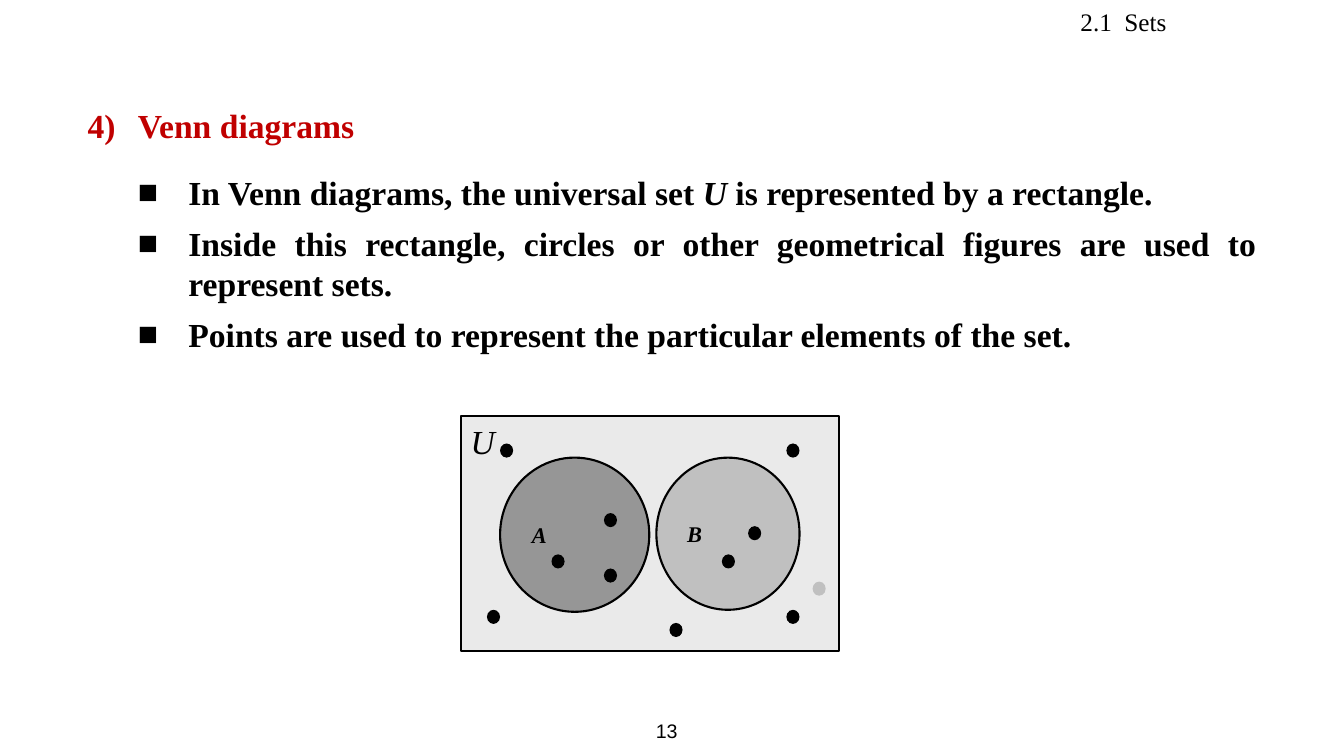
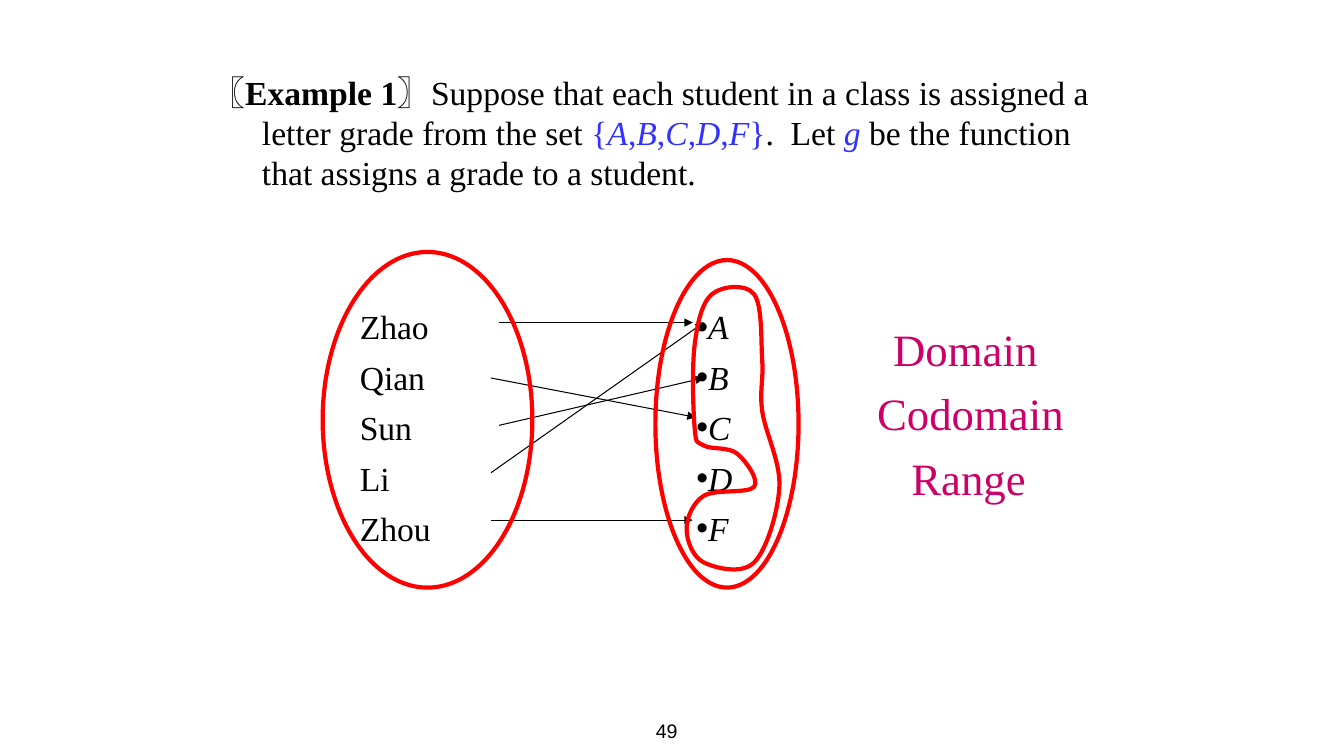
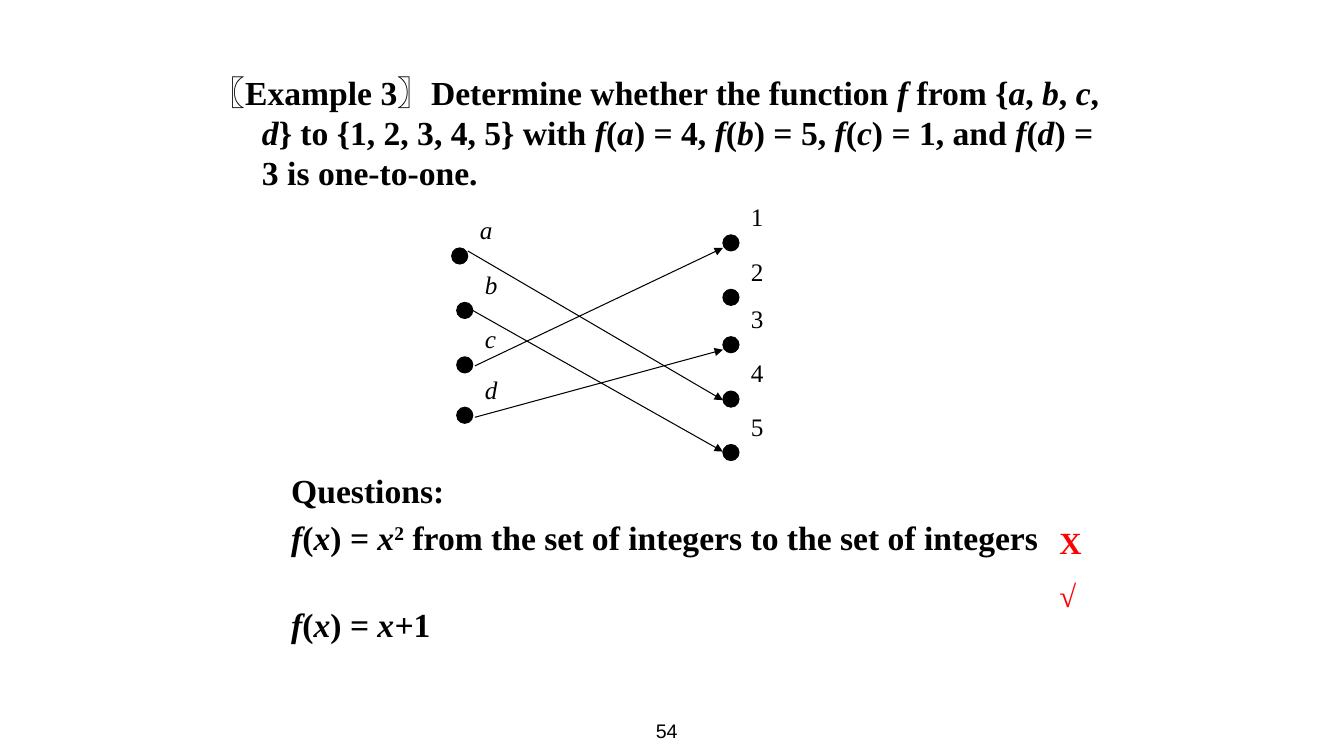
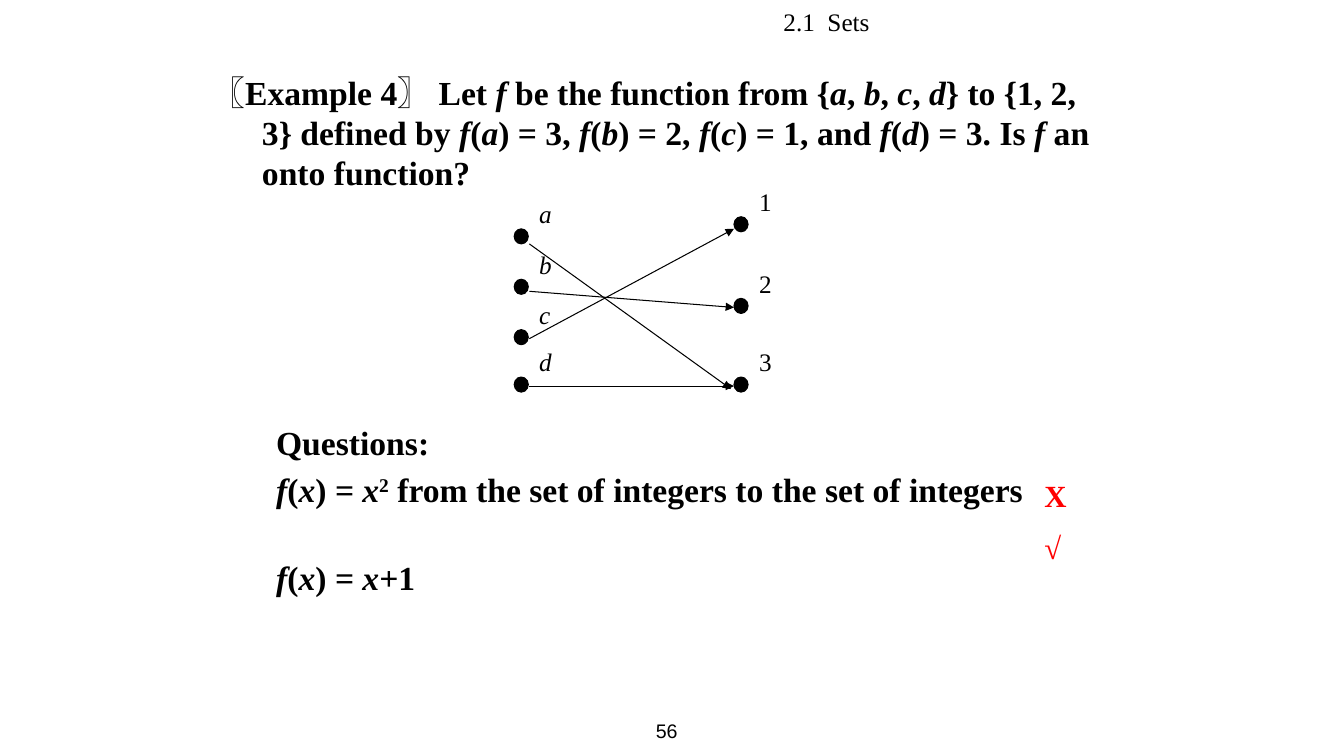
from dataclasses import dataclass, replace
from typing import Any, NamedTuple, Optional

from lxml import etree
from pptx import Presentation
from pptx.dml.color import RGBColor
from pptx.enum import shapes, text
from pptx.oxml import ns
from pptx.util import Inches, Pt


@dataclass(frozen=True)
class Theme:
    serif: str = "Times New Roman"
    sans: str = "Arial"
    black: str = "000000"
    heading: str = "C00000"
    red: str = "FF0000"
    blue: str = "3333FF"
    magenta: str = "CC0066"
    universe: str = "EAEAEA"
    dark_set: str = "969696"
    light_set: str = "C0C0C0"
    term: int = 32
    body: int = 24
    verdict: int = 22
    label: int = 18
    set_name: int = 16
    page_number: int = 14
    thin: float = 0.75
    outline: float = 1.5
    thick: float = 3


THEME = Theme()
OVAL = shapes.MSO_SHAPE.OVAL
RIGHT = text.PP_ALIGN.RIGHT
LEFT = text.PP_ALIGN.LEFT
JUSTIFY = text.PP_ALIGN.JUSTIFY
MIDDLE = text.MSO_ANCHOR.MIDDLE
TOP = text.MSO_ANCHOR.TOP


class Area(NamedTuple):
    left: float
    top: float
    width: float
    height: float

    def lengths(self) -> list[int]:
        return [Inches(value) for value in self]


class Point(NamedTuple):
    x: float
    y: float


class Arrow(NamedTuple):
    start: Point
    end: Point


@dataclass(frozen=True)
class Span:
    text: str
    size: float = THEME.body
    color: str = THEME.black
    bold: bool = False
    italic: bool = False
    font: str = THEME.serif
    raised: bool = False


@dataclass(frozen=True)
class Para:
    spans: list[Span]
    align: Any = LEFT
    before: float = 0
    line: Optional[float] = None
    margin: float = 0
    indent: float = 0
    bullet: str = ""
    bullet_font: str = THEME.serif
    number: int = 0


@dataclass(frozen=True)
class Mapping:
    dot: tuple[float, float]
    label_shift: Point
    label_width: float
    sources: dict[str, Point]
    targets: dict[str, Point]
    arrows: list[Arrow]


def set_format(target: Any, values: dict[str, Any]) -> None:
    for name, value in values.items():
        setattr(target, name, value)


def spans(marked: str, **look: Any) -> list[Span]:
    """Split text into spans; parts between asterisks are italic."""
    parts = enumerate(marked.split("*"))
    return [Span(part, italic=index % 2 == 1, **look) for index, part in parts if part]


def add_child(parent: Any, tag: str, **values: str) -> Any:
    return etree.SubElement(parent, ns.qn(tag), values)


def write(frame: Any, paras: list[Para], anchor: Any = TOP) -> None:
    set_format(frame, {"word_wrap": True, "auto_size": text.MSO_AUTO_SIZE.NONE,
                       "vertical_anchor": anchor})
    for index, para in enumerate(paras):
        line = frame.add_paragraph() if index else frame.paragraphs[0]
        set_format(line, {"alignment": para.align, "space_before": Pt(para.before)})
        if para.line:
            line.line_spacing = para.line
        properties = line._p.get_or_add_pPr()
        properties.set("marL", str(Inches(para.margin)))
        properties.set("indent", str(Inches(para.indent)))
        if para.bullet:
            add_child(properties, "a:buFont", typeface=para.bullet_font)
            add_child(properties, "a:buChar", char=para.bullet)
        elif para.number:
            add_child(properties, "a:buAutoNum", type="arabicParenR", startAt=str(para.number))
        for span in para.spans:
            run = line.add_run()
            run.text = span.text
            set_format(run.font, {"name": span.font, "size": Pt(span.size),
                                  "bold": span.bold, "italic": span.italic})
            run.font.color.rgb = RGBColor.from_string(span.color)
            if span.raised:
                run._r.get_or_add_rPr().set("baseline", "30000")


def add_text(page: Any, area: Area, paras: list[Para], anchor: Any = TOP) -> None:
    write(page.shapes.add_textbox(*area.lengths()).text_frame, paras, anchor)


def paint(shape: Any, fill: Optional[str], line: Optional[str], width: float) -> None:
    shape.shadow.inherit = False
    if fill:
        shape.fill.solid()
        shape.fill.fore_color.rgb = RGBColor.from_string(fill)
    else:
        shape.fill.background()
    if line:
        shape.line.color.rgb = RGBColor.from_string(line)
        shape.line.width = Pt(width)
    else:
        shape.line.fill.background()


def add_figure(page: Any, kind: Any, area: Area, fill: Optional[str] = None,
               line: Optional[str] = None, width: float = THEME.thin) -> Any:
    figure = page.shapes.add_shape(kind, *area.lengths())
    paint(figure, fill, line, width)
    return figure


def add_arrow(page: Any, arrow: Arrow) -> None:
    ends = [Inches(value) for point in arrow for value in point]
    connector = page.shapes.add_connector(shapes.MSO_CONNECTOR.STRAIGHT, *ends)
    connector.line.color.rgb = RGBColor.from_string(THEME.black)
    connector.line.width = Pt(THEME.thin)
    properties = connector.element.spPr
    add_child(properties.find(ns.qn("a:ln")), "a:tailEnd", type="triangle")
    add_child(properties, "a:effectLst")


def add_loop(page: Any, knots: list[Point]) -> None:
    """Draw a closed Catmull-Rom curve through the knots as cubic segments."""
    points = [(Inches(knot.x), Inches(knot.y)) for knot in knots]
    builder = page.shapes.build_freeform(*points[0])
    builder.add_line_segments([*points[1:], points[0]], close=True)
    loop = builder.convert_to_shape()
    paint(loop, None, THEME.red, THEME.thick)
    count = len(points)
    for index, segment in enumerate(list(loop.element.iter(ns.qn("a:lnTo")))):
        before, start, end, after = (points[(index + shift) % count] for shift in (-1, 0, 1, 2))
        leaving = [b + (c - a) / 6 for a, b, c in zip(before, start, end)]
        arriving = [c - (d - b) / 6 for b, c, d in zip(start, end, after)]
        curve = etree.Element(ns.qn("a:cubicBezTo"))
        for x, y in (leaving, arriving, end):
            add_child(curve, "a:pt", x=str(round(x - loop.left)), y=str(round(y - loop.top)))
        segment.getparent().replace(segment, curve)


def add_page(deck: Any, number: int, header_align: Any = None) -> Any:
    """Add a numbered page, with the section header as title if aligned."""
    page = deck.slides.add_slide(deck.slide_layouts[6 if header_align is None else 5])
    if header_align is not None:
        title = page.shapes.title
        area = Area(7.67, 0.01, 4, 0.4).lengths()
        set_format(title, dict(zip(("left", "top", "width", "height"), area)))
        write(title.text_frame, [Para(spans("2.1  Sets", size=THEME.label), header_align)])
    digits = Span(str(number), THEME.page_number, font=THEME.sans)
    add_text(page, Area(5.93, 7, 0.89, 0.5), [Para([digits], RIGHT)], MIDDLE)
    return page


def add_example(page: Any, statement: list[Span]) -> None:
    bracket = Span("〖", bold=True, font=THEME.sans)
    add_text(page, Area(2, 0.66, 9.08, 1.31),
             [Para([bracket, *statement], margin=0.5, indent=-0.5)])


def add_mapping(page: Any, mapping: Mapping) -> None:
    for side, italic in ((mapping.sources, True), (mapping.targets, False)):
        for name, spot in side.items():
            add_figure(page, OVAL, Area(*spot, *mapping.dot), THEME.black, THEME.black)
            shift = mapping.label_shift
            area = Area(spot.x + shift.x, spot.y + shift.y, mapping.label_width, 0.4)
            add_text(page, area, [Para([Span(name, THEME.label, italic=italic)])])
    for arrow in mapping.arrows:
        add_arrow(page, arrow)


def add_questions(page: Any, left: float, top: float) -> None:
    first = Para(spans("Questions:", bold=True), margin=0.81, indent=-0.31)
    square = [*spans("*f*(*x*)* = x*", bold=True), Span("2", bold=True, raised=True),
              *spans(" from the set of integers to the set of integers", bold=True)]
    successor = spans("*f*(*x*)* = x+*1", bold=True)
    add_text(page, Area(left, top, 8.28, 1.47), [
        first, replace(first, spans=square, before=4.8),
        replace(first, spans=successor, before=33.6)])
    verdicts = [Para(spans(mark, size=THEME.verdict, color=THEME.red, bold=True), before=11)
                for mark in "X√"]
    add_text(page, Area(left + 8.12, top + 0.54, 0.7, 1.02),
             [replace(verdicts[0], before=0), verdicts[1]])


def build_venn(deck: Any) -> None:
    page = add_page(deck, 13, RIGHT)
    heading = Para(spans("Venn diagrams", color=THEME.heading, bold=True),
                   margin=0.5, indent=-0.5, number=4)
    first = Para(spans("In Venn diagrams, the universal set *U* is represented by a rectangle.",
                       bold=True), before=19.2, margin=1, indent=-0.5, bullet="■")
    others = ["Inside this rectangle, circles or other geometrical figures are used to "
              "represent sets.",
              "Points are used to represent the particular elements of the set."]
    add_text(page, Area(0.77, 0.99, 11.79, 2.68), [heading, first, *(
        replace(first, spans=spans(line, bold=True), align=JUSTIFY, before=7.5)
        for line in others)])

    universe = add_figure(page, shapes.MSO_SHAPE.RECTANGLE, Area(4.57, 4.13, 3.75, 2.33),
                          THEME.universe, THEME.black, THEME.outline)
    write(universe.text_frame, [Para(spans("*U*"))])
    for name, area, fill in (("A", Area(4.96, 4.54, 1.48, 1.53), THEME.dark_set),
                             ("B", Area(6.51, 4.54, 1.42, 1.51), THEME.light_set)):
        circle = add_figure(page, OVAL, area, fill, THEME.black, THEME.outline)
        label = Span(name, THEME.set_name, bold=True, italic=True)
        write(circle.text_frame, [Para([label])], MIDDLE)
    elements = [(5.99, 5.64), (4.83, 6.05), (5.47, 5.5), (6.64, 6.18), (7.16, 5.5),
                (7.42, 5.22), (7.8, 4.4), (7.8, 6.05), (4.96, 4.4), (5.99, 5.09)]
    for x, y in elements:
        add_figure(page, OVAL, Area(x, y, 0.13, 0.14), THEME.black)
    add_figure(page, OVAL, Area(8.06, 5.77, 0.13, 0.14), THEME.light_set)


def build_grades(deck: Any) -> None:
    page = add_page(deck, 49)
    add_example(page, [
        *spans("Example 1〗", bold=True),
        *spans("Suppose that each student in a class is assigned a letter grade from the set "),
        *spans("{*A*,*B*,*C*,*D*,*F*}", color=THEME.blue), *spans(".  Let "),
        *spans("*g*", color=THEME.blue),
        *spans(" be the function that assigns a grade to a student.")])
    students = [Para(spans(name), line=1.25) for name in ("Zhao", "Qian", "Sun", "Li", "Zhou")]
    grades = [Para(spans(f"*{grade}*"), line=1.25, bullet="•", bullet_font=THEME.sans)
              for grade in "ABCDF"]
    add_text(page, Area(3.47, 2.89, 1, 2.62), students)
    add_text(page, Area(6.81, 2.89, 0.6, 2.62), grades)
    for start, end in (((4.95, 3.2), (6.87, 3.2)), ((4.87, 3.75), (6.9, 4.14)),
                       ((4.95, 4.22), (6.98, 3.75)), ((4.87, 4.69), (6.98, 3.2)),
                       ((4.87, 5.16), (6.87, 5.16))):
        add_arrow(page, Arrow(Point(*start), Point(*end)))
    terms = (("Domain", 8.76, 1.7), ("Codomain", 8.6, 2.12), ("Range", 8.94, 1.4))
    for row, (term, left, width) in enumerate(terms):
        add_text(page, Area(left, 3.14 + 0.64 * row, width, 0.64),
                 [Para(spans(term, size=THEME.term, color=THEME.magenta))])
    for area in (Area(3.2, 2.5, 2.08, 3.33), Area(6.5, 2.58, 1.42, 3.25)):
        add_figure(page, OVAL, area, line=THEME.red, width=THEME.thick)
    add_loop(page, [Point(*knot) for knot in (
        (6.89, 4.25), (6.89, 3.42), (7.06, 2.92), (7.48, 2.92), (7.56, 3.58),
        (7.56, 4.08), (7.73, 4.83), (7.48, 5.58), (6.98, 5.58), (6.81, 5.25),
        (6.98, 4.92), (7.48, 4.83), (7.31, 4.5), (6.98, 4.42))])


def build_one_to_one(deck: Any) -> None:
    page = add_page(deck, 54)
    add_example(page, spans(
        "Example 3〗Determine whether the function *f* from {*a*, *b*, *c*, *d*} to "
        "{1, 2, 3, 4, 5} with *f*(*a*) = 4, *f*(*b*) = 5, *f*(*c*) = 1, and *f*(*d*) = 3 "
        "is one-to-one.", bold=True))
    add_mapping(page, Mapping(
        dot=(0.16, 0.16), label_shift=Point(0.18, -0.38), label_width=0.88,
        sources={"a": Point(4.48, 2.46), "b": Point(4.53, 3),
                 "c": Point(4.53, 3.54), "d": Point(4.53, 4.04)},
        targets={name: Point(7.17, y)
                 for name, y in zip("12345", (2.33, 2.87, 3.34, 3.88, 4.41))},
        arrows=[Arrow(Point(x, y), Point(7.17, end)) for x, y, end in (
            (4.64, 2.49, 3.97), (4.6, 3.03, 4.48), (4.71, 3.63, 2.46), (4.71, 4.14, 3.47))]))
    add_questions(page, 2.29, 4.61)


def build_onto(deck: Any) -> None:
    page = add_page(deck, 56, LEFT)
    add_example(page, spans(
        "Example 4〗 Let *f* be the function from {*a*, *b*, *c*, *d*} to {1, 2, 3} defined by "
        "*f*(*a*) = 3, *f*(*b*) = 2, *f*(*c*) = 1, and *f*(*d*) = 3. Is *f* an onto function?",
        bold=True))
    add_questions(page, 2.14, 4.14)
    add_mapping(page, Mapping(
        dot=(0.14, 0.15), label_shift=Point(0.15, -0.35), label_width=0.73,
        sources={name: Point(5.1, y) for name, y in zip("abcd", (2.27, 2.77, 3.27, 3.74))},
        targets={name: Point(7.28, y) for name, y in zip("123", (2.15, 2.96, 3.74))},
        arrows=[Arrow(Point(5.25, 2.42 + 0.47 * row), Point(*end)) for row, end in enumerate(
            ((7.25, 3.86), (7.28, 3.05), (7.28, 2.27), (7.28, 3.83)))]))


def main() -> None:
    deck = Presentation()
    set_format(deck, {"slide_width": Inches(13.33), "slide_height": Inches(7.5)})
    for build in (build_venn, build_grades, build_one_to_one, build_onto):
        build(deck)
    deck.save("out.pptx")


if __name__ == "__main__":
    main()
